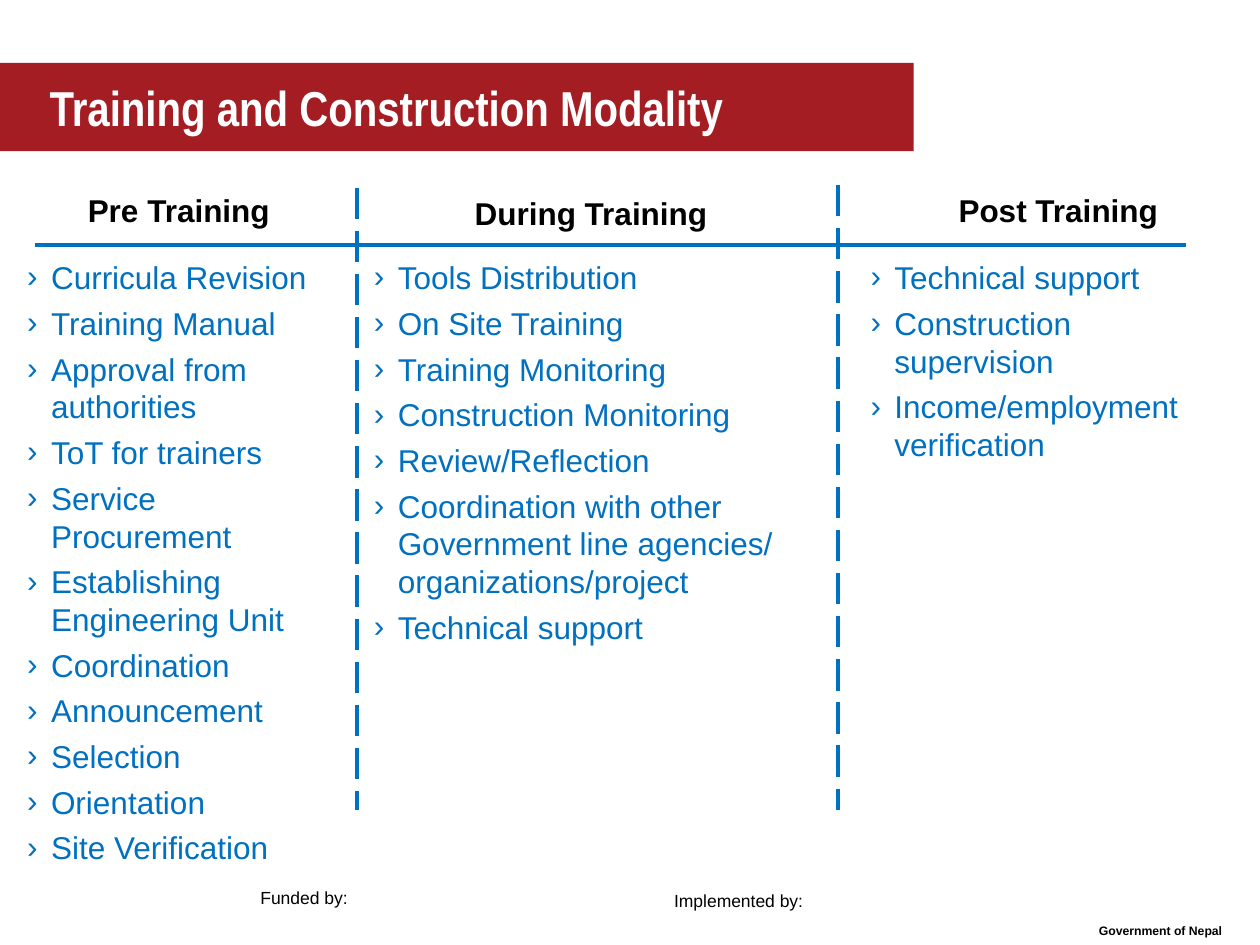
from dataclasses import dataclass

import pptx
import pptx.dml.color
import pptx.enum.dml
import pptx.enum.shapes
import pptx.enum.text
import pptx.oxml
import pptx.oxml.ns
import pptx.util
from pptx.util import Cm

COLORS = {"red": "A31D23", "blue": "0070C0", "black": "000000", "white": "FFFFFF"}
ALIGN = pptx.enum.text.PP_ALIGN
A_NS = pptx.oxml.ns.nsdecls("a")


@dataclass
class Label:
    text: str
    left: float
    top: float
    width: float
    height: float
    size: float = 18
    bold: bool = True
    align: ALIGN = ALIGN.CENTER


@dataclass
class Column:
    heading: Label
    left: float
    width: float
    height: float
    items: list[str]


@dataclass
class Rule:
    x1: float
    y1: float
    x2: float
    y2: float
    dashed: bool = True


LIST_TOP = 5.08
COLUMNS = [
    Column(Label("Pre Training", 0.71, 3.73, 5.79, 1.02), 0.3, 6.6, 12.52, [
        "Curricula Revision", "Training Manual", "Approval from authorities",
        "ToT for trainers", "Service Procurement", "Establishing Engineering Unit",
        "Coordination", "Announcement", "Selection", "Orientation",
        "Site Verification"]),
    Column(Label("During Training", 6.91, 3.78, 10.01, 1.02), 7.29, 8.99, 8.99, [
        "Tools Distribution", "On Site Training", "Training Monitoring",
        "Construction Monitoring", "Review/Reflection",
        "Coordination with other Government line agencies/ organizations/project",
        "Technical support"]),
    Column(Label("Post Training", 16.89, 3.73, 8.89, 1.02), 17.3, 7.8, 4.39, [
        "Technical support", "Construction supervision",
        "Income/employment verification"]),
]
RULES = [
    Rule(0.71, 4.93, 23.9, 4.93, dashed=False),
    Rule(7.19, 3.78, 7.19, 16.33),
    Rule(16.89, 3.73, 16.89, 16.33),
]
FOOTERS = [
    Label("Funded by:", 5, 17.75, 2.39, 0.69, 10, False, ALIGN.LEFT),
    Label("Implemented by:", 13.34, 17.81, 3.61, 0.69, 10, False, ALIGN.LEFT),
    Label("Government of Nepal", 21.59, 18.49, 3.61, 0.56, 7),
]


def rgb(name: str) -> pptx.dml.color.RGBColor:
    return pptx.dml.color.RGBColor.from_string(COLORS[name])


def add_run(p, text: str, size: float, color: str, bold: bool = False,
            font: str = "Arial") -> None:
    r = p.add_run()
    r.text = text
    r.font.name = font
    r.font.size = pptx.util.Pt(size)
    r.font.bold = bold
    r.font.color.rgb = rgb(color)


def add_text_frame(s, left: float, top: float, width: float, height: float):
    tf = s.shapes.add_textbox(Cm(left), Cm(top), Cm(width), Cm(height)).text_frame
    tf.word_wrap = True
    tf.auto_size = pptx.enum.text.MSO_AUTO_SIZE.SHAPE_TO_FIT_TEXT
    return tf


def add_label(s, label: Label) -> None:
    tf = add_text_frame(s, label.left, label.top, label.width, label.height)
    p = tf.paragraphs[0]
    p.alignment = label.align
    add_run(p, label.text, label.size, "black", label.bold)


def add_bullet(p) -> None:
    pPr = p._p.get_or_add_pPr()
    pPr.set("marL", str(Cm(0.48)))
    pPr.set("indent", str(-Cm(0.48)))
    for xml in (
        f'<a:buClr {A_NS}><a:srgbClr val="{COLORS["blue"]}"/></a:buClr>',
        f'<a:buFont {A_NS} typeface="Arial"/>',
        f'<a:buChar {A_NS} char="›"/>',
    ):
        pPr.append(pptx.oxml.parse_xml(xml))


def add_column(s, column: Column) -> None:
    add_label(s, column.heading)
    tf = add_text_frame(s, column.left, LIST_TOP, column.width, column.height)
    for i, item in enumerate(column.items):
        p = tf.add_paragraph() if i else tf.paragraphs[0]
        add_bullet(p)
        if i:
            p.space_before = pptx.util.Pt(4.5)
        add_run(p, item, 18, "blue")


def add_rule(s, rule: Rule) -> None:
    sp = s.shapes.add_connector(
        pptx.enum.shapes.MSO_CONNECTOR.STRAIGHT,
        Cm(rule.x1), Cm(rule.y1), Cm(rule.x2), Cm(rule.y2))
    sp.line.color.rgb = rgb("blue")
    sp.line.width = pptx.util.Pt(2.25)
    if rule.dashed:
        sp.line.dash_style = pptx.enum.dml.MSO_LINE.LONG_DASH
    sp._element.spPr.append(pptx.oxml.parse_xml(f"<a:effectLst {A_NS}/>"))


def add_title(s, text: str) -> None:
    sp = s.shapes.add_shape(pptx.enum.shapes.MSO_SHAPE.RECTANGLE,
                            Cm(0), Cm(1.27), Cm(18.42), Cm(1.78))
    sp.shadow.inherit = False
    sp.fill.solid()
    sp.fill.fore_color.rgb = rgb("red")
    sp.line.fill.background()
    tf = sp.text_frame
    tf.word_wrap = True
    tf.vertical_anchor = pptx.enum.text.MSO_ANCHOR.MIDDLE
    tf.margin_left = tf.margin_right = Cm(1)
    p = tf.paragraphs[0]
    p.alignment = ALIGN.LEFT
    add_run(p, text, 28, "white", True, "Arial Narrow")


def main() -> None:
    prs = pptx.Presentation()
    prs.slide_width, prs.slide_height = Cm(25.4), Cm(19.05)
    s = prs.slides.add_slide(prs.slide_layouts[6])

    # Footer credits
    for footer in FOOTERS:
        add_label(s, footer)

    # Title banner
    add_title(s, "Training and Construction Modality")

    # Dividers and the three phases
    for rule in RULES:
        add_rule(s, rule)
    for column in COLUMNS:
        add_column(s, column)

    prs.save("out.pptx")


if __name__ == "__main__":
    main()
